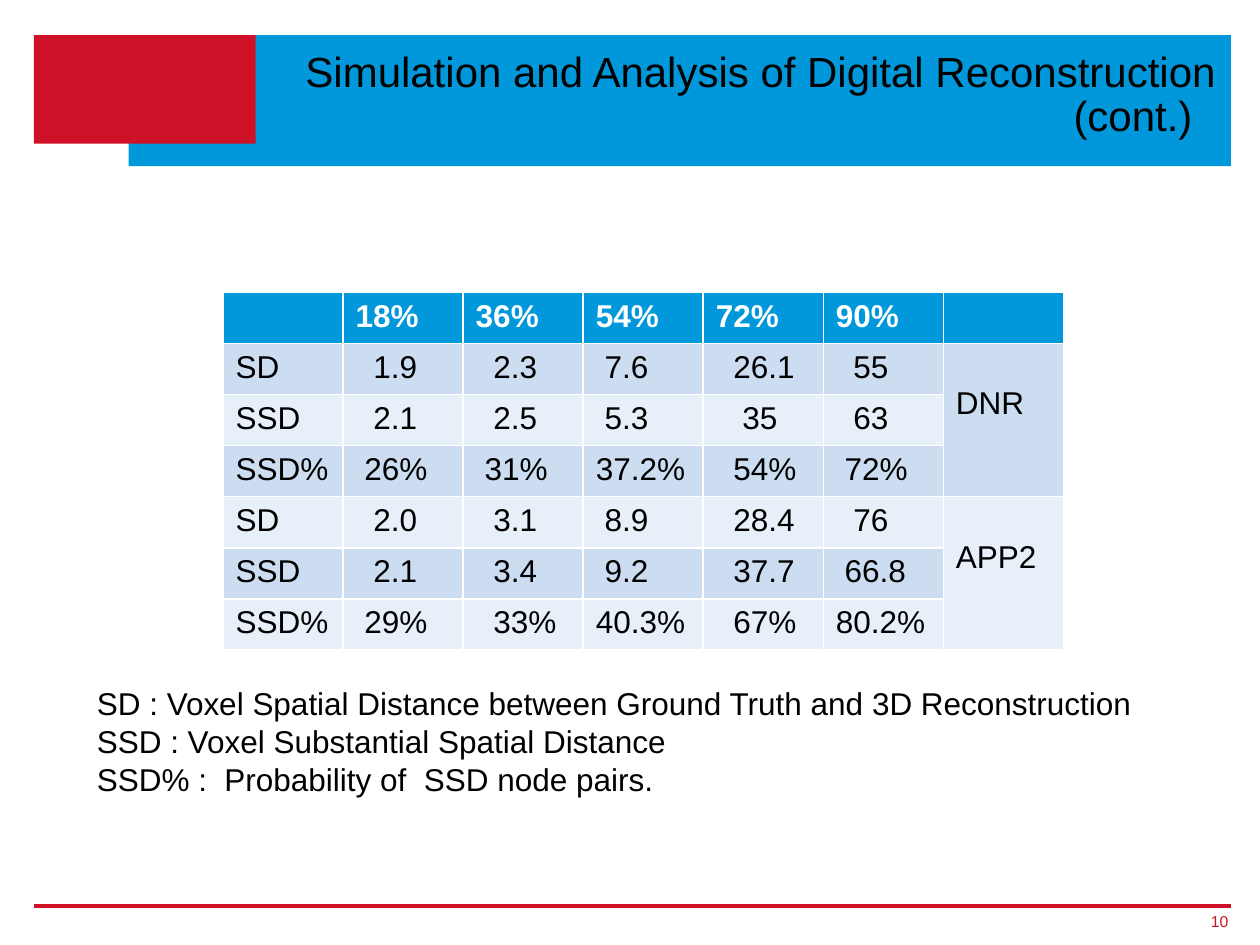
from lxml import etree
from pptx import Presentation
from pptx.dml.color import RGBColor
from pptx.enum.shapes import MSO_CONNECTOR, MSO_SHAPE
from pptx.enum.text import MSO_ANCHOR, MSO_AUTO_SIZE, PP_ALIGN
from pptx.oxml.ns import qn
from pptx.util import Inches, Pt

RECTANGLE = MSO_SHAPE.RECTANGLE
STRAIGHT = MSO_CONNECTOR.STRAIGHT
BOTTOM, MIDDLE = MSO_ANCHOR.BOTTOM, MSO_ANCHOR.MIDDLE
RIGHT = PP_ALIGN.RIGHT
FIT_SHAPE, NO_FIT = MSO_AUTO_SIZE.SHAPE_TO_FIT_TEXT, MSO_AUTO_SIZE.NONE

FONT = "Arial"
BLUE, RED, BLACK, WHITE = "0098DB", "CE1126", "000000", "FFFFFF"
BANDS = ["CCDDF1", "E7EFF8"]

TITLE = "Simulation and Analysis of Digital Reconstruction (cont.)  "
HEADER = ["", "18%", "36%", "54%", "72%", "90%", ""]
MEASURES = [
    ["SD", "1.9", "2.3", "7.6", "26.1", "55"],
    ["SSD", "2.1", "2.5", "5.3", "35", "63"],
    ["SSD%", "26%", "31%", "37.2%", "54%", "72%"],
    ["SD", "2.0", "3.1", "8.9", "28.4", "76"],
    ["SSD", "2.1", "3.4", "9.2", "37.7", "66.8"],
    ["SSD%", "29%", "33%", "40.3%", "67%", "80.2%"],
]
# Indent steps of each value in MEASURES
INDENTS = [
    [0, 2, 2, 1, 2, 2],
    [0, 2, 2, 1, 3, 2],
    [0, 1, 1, 0, 2, 1],
    [0, 2, 2, 1, 2, 2],
    [0, 2, 2, 1, 2, 1],
    [0, 1, 2, 0, 2, 0],
]
INDENT_STEP = 0.07
METHODS = ["DNR", "APP2"]
ROWS_PER_METHOD = 3
LEGEND = [
    "SD : Voxel Spatial Distance between Ground Truth and 3D Reconstruction",
    "SSD : Voxel Substantial Spatial Distance",
    "SSD% :  Probability of  SSD node pairs.",
]


def color(hex_value):
    return RGBColor.from_string(hex_value)


def box(left, top, width, height):
    return [Inches(length) for length in (left, top, width, height)]


def style_text(frame, size, hex_value, bold=False):
    for paragraph in frame.paragraphs:
        for run in paragraph.runs:
            run.font.name = FONT
            run.font.size = Pt(size)
            run.font.bold = bold
            run.font.color.rgb = color(hex_value)


def add_block(slide, area, hex_value):
    block = slide.shapes.add_shape(RECTANGLE, *area)
    block.shadow.inherit = False
    block.fill.solid()
    block.fill.fore_color.rgb = color(hex_value)
    block.line.fill.background()


def add_header(slide, left, top, width, height):
    # Blue band with the red block overlapping its left end
    band_offset = Inches(0.75)
    add_block(slide, (left + band_offset, top, width - band_offset, height), BLUE)
    add_block(slide, (left, top, Inches(1.76), Inches(0.86)), RED)

    # Title, brought in front of the band
    title = slide.shapes.title
    slide.shapes.element.append(title.element)
    title.left, title.top, title.width, title.height = box(2.05, 0.47, 7.7, 0.69)
    frame = title.text_frame
    frame.text = TITLE
    frame.word_wrap = True
    frame.auto_size = NO_FIT
    frame.vertical_anchor = BOTTOM
    paragraph = frame.paragraphs[0]
    paragraph.alignment = RIGHT
    paragraph.line_spacing = Pt(25)
    style_text(frame, 24, BLACK)


def fill_cell(cell, text, fill, text_color=BLACK, bold=False):
    cell.fill.solid()
    cell.fill.fore_color.rgb = color(fill)
    cell.text_frame.text = text
    style_text(cell.text_frame, 18, text_color, bold)


def add_results(slide, left, top, width, height):
    row_count, column_count = len(MEASURES) + 1, len(HEADER)
    table = slide.shapes.add_table(
        row_count, column_count, left, top, width, height).table
    for column in table.columns:
        column.width = width // column_count
    for row in table.rows:
        row.height = height // row_count

    # Header row
    for column, share in enumerate(HEADER):
        fill_cell(table.cell(0, column), share, BLUE, WHITE, True)

    # Distances
    for row, (values, indents) in enumerate(zip(MEASURES, INDENTS)):
        for column, (value, steps) in enumerate(zip(values, indents)):
            cell = table.cell(row + 1, column)
            fill_cell(cell, value, BANDS[row % 2])
            cell.margin_left = Inches(0.1 + steps * INDENT_STEP)

    # Method names, each spanning its rows
    last = column_count - 1
    for index, method in enumerate(METHODS):
        first_row = 1 + index * ROWS_PER_METHOD
        cell = table.cell(first_row, last)
        cell.merge(table.cell(first_row + ROWS_PER_METHOD - 1, last))
        fill_cell(cell, method, BANDS[index])
        cell.margin_top = Inches(0.34)


def add_legend(slide, left, top, width, height):
    frame = slide.shapes.add_textbox(left, top, width, height).text_frame
    frame.text = "\n".join(LEGEND)
    frame.word_wrap = False
    frame.auto_size = FIT_SHAPE
    style_text(frame, 18, BLACK)


def add_footer(slide, left, top, width, height):
    # Rule
    rule = slide.shapes.add_connector(STRAIGHT, left, top, left + width, top)
    rule.line.color.rgb = color(RED)
    rule.line.width = Pt(2.25)
    etree.SubElement(rule.element.spPr, qn("a:effectLst"))

    # Page number
    number_width = Inches(0.27)
    frame = slide.shapes.add_textbox(
        left + width - number_width - Inches(0.02), top + Inches(0.01),
        number_width, height).text_frame
    frame.text = "10"
    frame.word_wrap = True
    frame.margin_left = frame.margin_right = 0
    frame.margin_top = frame.margin_bottom = 0
    frame.vertical_anchor = MIDDLE
    frame.paragraphs[0].alignment = RIGHT
    style_text(frame, 9, RED)


def main():
    deck = Presentation()
    deck.slide_width, deck.slide_height = Inches(10), Inches(7.5)
    title_only = deck.slide_layouts[5]
    slide = deck.slides.add_slide(title_only)
    add_header(slide, *box(0.27, 0.28, 9.5, 1.04))
    add_results(slide, *box(1.77, 2.32, 6.67, 2.84))
    add_legend(slide, *box(0.67, 5.38, 8.49, 1.01))
    add_footer(slide, *box(0.27, 7.19, 9.5, 0.23))
    deck.save("out.pptx")


if __name__ == "__main__":
    main()
